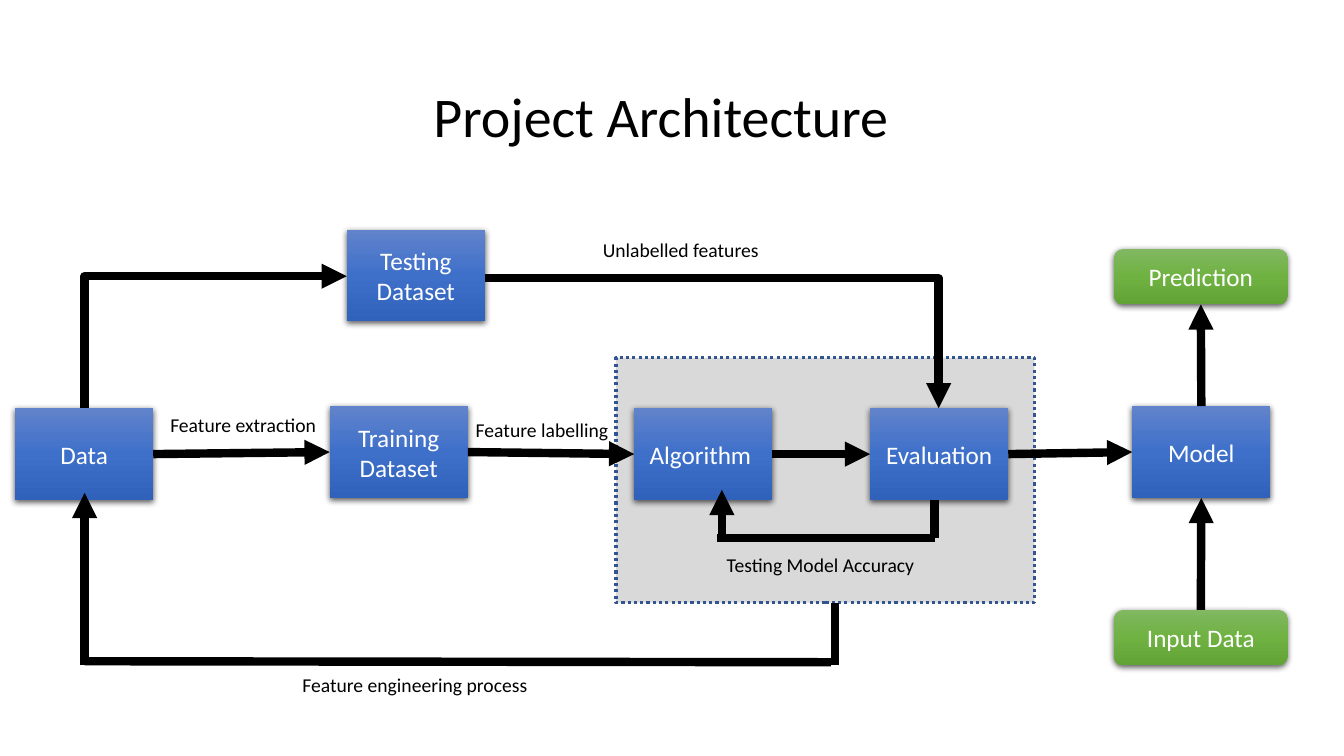
from lxml.etree import SubElement
from pptx import Presentation
from pptx.dml.color import RGBColor
from pptx.enum.dml import MSO_LINE
from pptx.enum.shapes import MSO_CONNECTOR, MSO_SHAPE
from pptx.enum.text import MSO_ANCHOR, PP_ALIGN
from pptx.oxml.ns import qn
from pptx.util import Inches, Pt

THEME = {
    "font": "Calibri", "text": "000000", "box_text": "FFFFFF", "arrow": "000000",
    "frame_fill": "D9D9D9", "frame_line": "325491",
    "blue": ("6183CB", "3E70CA", "3062BB"), "green": ("81B861", "6FB242", "62A336"),
    "title_pt": 40, "box_pt": 18, "label_pt": 14, "arrow_pt": 6, "frame_pt": 2.25,
}
STAGE, ENDPOINT = (1.37, 0.91), (1.72, 0.55)
FRAME = (6.11, 3.55, 4.15, 2.43)
STAGES = [
    ("Data", 0.15, 4.05),
    ("Algorithm ", 6.29, 4.05),
    ("Training Dataset", 3.27, 4.03),
    ("Evaluation", 8.63, 4.05),
    ("Testing Dataset", 3.44, 2.28),
    ("Model", 11.23, 4.03),
]
ENDPOINTS = [("Prediction", 11.05, 2.47), ("Input Data", 11.05, 6.05)]
TOP, LEFT, BOTTOM, RIGHT = range(4)
FLOWS = [
    ("Data", RIGHT, "Training Dataset", LEFT),
    ("Evaluation", RIGHT, "Model", LEFT),
    ("Algorithm ", RIGHT, "Evaluation", LEFT),
    ("Training Dataset", RIGHT, "Algorithm ", LEFT),
    ("Input Data", TOP, "Model", BOTTOM),
    ("Model", TOP, "Prediction", BOTTOM),
]
BENDS = [
    ((0.84, 4.05), (3.44, 2.74), 270),
    ((4.81, 2.76), (9.31, 4.05), 0),
]
LOOPS = [
    ((7.11, 5.34), (9.27, 5.34), False),
    ((9.27, 4.96), (9.27, 5.34), False),
    ((7.16, 5.34), (7.16, 4.86), True),
    ((0.84, 6.56), (8.24, 6.57), False),
    ((8.28, 5.98), (8.28, 6.6), False),
    ((0.84, 6.6), (0.84, 4.89), True),
]
LABELS = [
    ("Testing Model Accuracy", 7.11, 5.44, 2.66, True),
    ("Feature extraction", 1.59, 4.05, 2.11, True),
    ("Feature labelling", 4.62, 4.1, 1.53, False),
    ("Unlabelled features", 5.88, 2.31, 1.78, False),
    ("Feature engineering process", 2.9, 6.63, 2.74, True),
]
TITLE = ("Project Architecture", 4.2, 0.76, 4.76, False)

prs = Presentation()
prs.slide_width, prs.slide_height = Inches(13.33), Inches(7.5)
shapes = prs.slides.add_slide(prs.slide_layouts[6]).shapes


def write(sp, text, size, color, wrap=True):
    tf = sp.text_frame
    tf.text = text
    tf.word_wrap = wrap
    p = tf.paragraphs[0]
    font = p.runs[0].font
    font.name, font.size = THEME["font"], Pt(size)
    font.color.rgb = RGBColor.from_string(color)
    return tf, p


def add_color(parent, color):
    return SubElement(parent, qn("a:srgbClr"), val=color)


def add_box(kind, text, x, y, size, colors):
    sp = shapes.add_shape(kind, Inches(x), Inches(y), *map(Inches, size))
    sp.line.fill.background()
    sp.fill.gradient()
    sp.fill.gradient_angle = 270
    stops = sp._element.spPr.find(qn("a:gradFill")).find(qn("a:gsLst"))
    for stop in list(stops):
        stops.remove(stop)
    for i, color in enumerate(colors):
        add_color(SubElement(stops, qn("a:gs"), pos=str(i * 50000)), color)
    sp.shadow.inherit = False
    shadow = SubElement(sp._element.spPr.find(qn("a:effectLst")), qn("a:outerShdw"),
                        blurRad=str(Pt(4.5)), dist=str(Pt(1.5)), dir="5400000",
                        algn="ctr", rotWithShape="0")
    SubElement(add_color(shadow, "000000"), qn("a:alpha"), val="63000")
    tf, p = write(sp, text, THEME["box_pt"], THEME["box_text"])
    tf.vertical_anchor = MSO_ANCHOR.MIDDLE
    p.alignment = PP_ALIGN.CENTER
    return sp


def add_line(start=(0, 0), end=(0, 0), arrow=True):
    line = shapes.add_connector(MSO_CONNECTOR.STRAIGHT, *map(Inches, start + end))
    line.line.color.rgb = RGBColor.from_string(THEME["arrow"])
    line.line.width = Pt(THEME["arrow_pt"])
    if arrow:
        SubElement(line.line._get_or_add_ln(), qn("a:tailEnd"), type="triangle")
    SubElement(line._element.spPr, qn("a:effectLst"))
    return line


def add_bend(start, end, turn):
    (x1, y1), (x2, y2) = start, end
    w, h = abs(x2 - x1), abs(y2 - y1)
    if turn:
        w, h = h, w
    x, y = (x1 + x2 - w) / 2, (y1 + y2 - h) / 2
    line = add_line((x, y), (x + w, y + h))
    spPr = line._element.spPr
    spPr.find(qn("a:prstGeom")).set("prst", "bentConnector2")
    if turn:
        spPr.find(qn("a:xfrm")).set("rot", str(turn * 60000))


def add_label(text, x, y, w, wrap, size, h):
    sp = shapes.add_textbox(*map(Inches, (x, y, w, h)))
    write(sp, text, size, THEME["text"], wrap)


frame = shapes.add_shape(MSO_SHAPE.RECTANGLE, *map(Inches, FRAME))
frame.shadow.inherit = False
frame.fill.solid()
frame.fill.fore_color.rgb = RGBColor.from_string(THEME["frame_fill"])
frame.line.color.rgb = RGBColor.from_string(THEME["frame_line"])
frame.line.width = Pt(THEME["frame_pt"])
frame.line.dash_style = MSO_LINE.ROUND_DOT

boxes = {}
for kind, items, size, colors in (
    (MSO_SHAPE.RECTANGLE, STAGES, STAGE, THEME["blue"]),
    (MSO_SHAPE.ROUNDED_RECTANGLE, ENDPOINTS, ENDPOINT, THEME["green"]),
):
    for text, x, y in items:
        boxes[text] = add_box(kind, text, x, y, size, colors)

for source, out_side, target, in_side in FLOWS:
    line = add_line()
    line.begin_connect(boxes[source], out_side)
    line.end_connect(boxes[target], in_side)
for bend in BENDS:
    add_bend(*bend)
for loop in LOOPS:
    add_line(*loop)
for label in LABELS:
    add_label(*label, THEME["label_pt"], 0.34)
add_label(*TITLE, THEME["title_pt"], 0.77)

prs.save("out.pptx")
